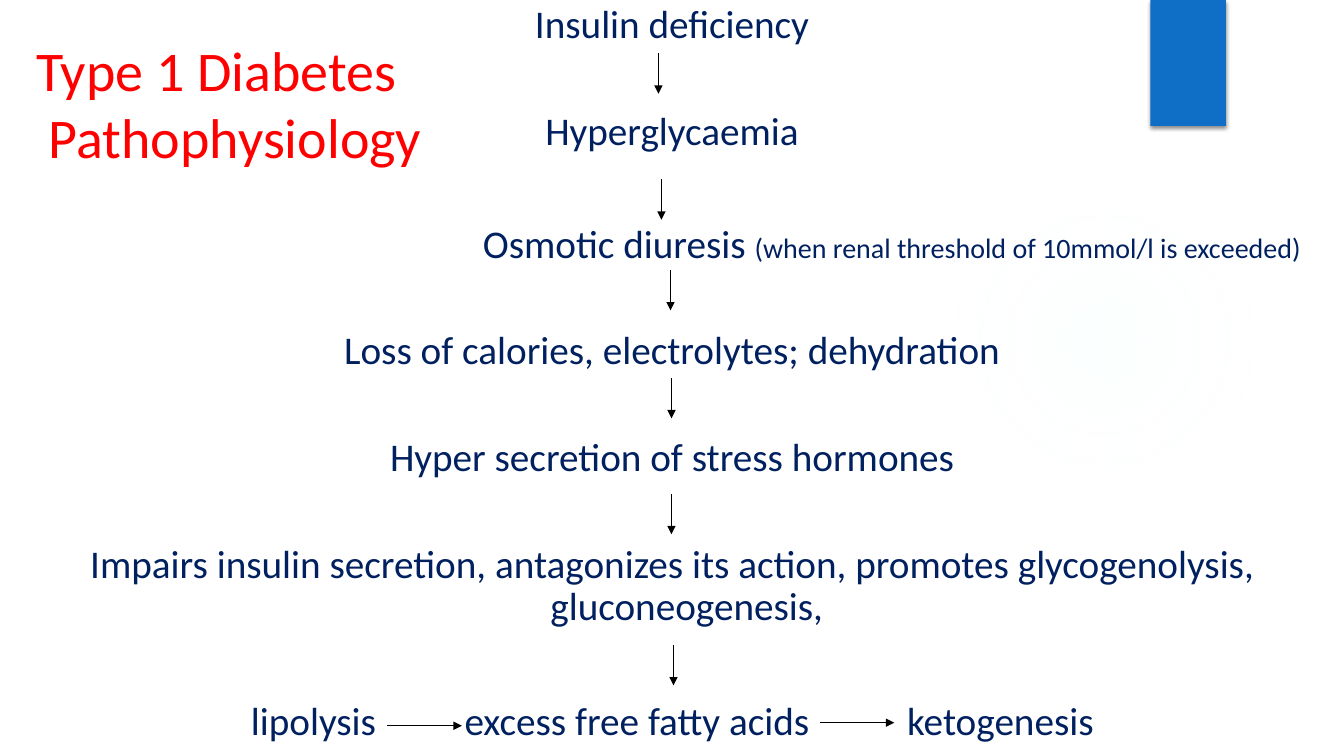
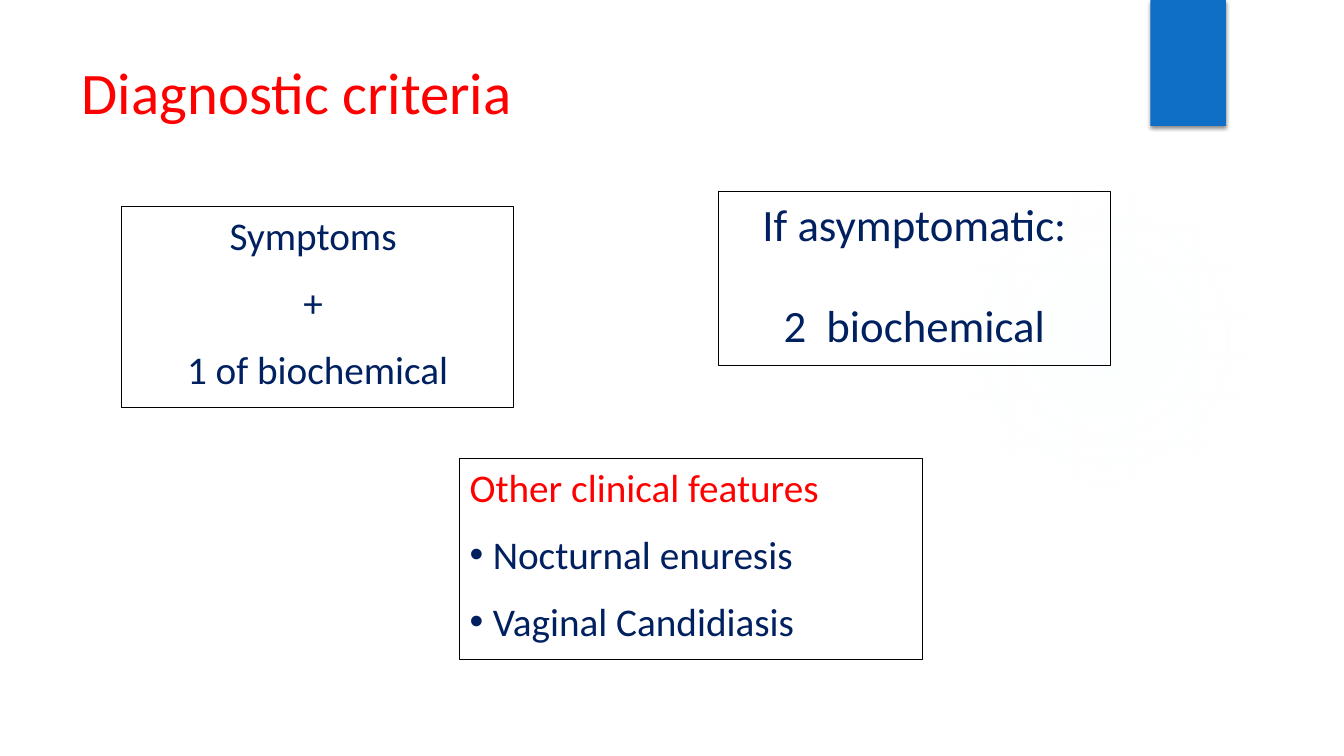
from lxml import etree
from pptx import Presentation
from pptx.dml.color import RGBColor
from pptx.enum import shapes, text
from pptx.oxml import ns, parse_xml
from pptx.util import Inches, Pt

RED = RGBColor(0xFF, 0x00, 0x00)
NAVY = RGBColor(0x00, 0x20, 0x60)
BLACK = RGBColor(0x00, 0x00, 0x00)
RIBBON_BLUE = RGBColor(0x0F, 0x6F, 0xC6)
GLOW = RGBColor(0xE9, 0xF9, 0xFB)
FONT = "Calibri"
INSET = 0.1
HANGING = 0.38
ARROW_LENGTH = 0.4
A = 'xmlns:a="http://schemas.openxmlformats.org/drawingml/2006/main"'


def place(part, box):
    part.left, part.top, part.width, part.height = map(Inches, box)


def add_run(paragraph, words, size, color):
    run = paragraph.add_run()
    run.text = words
    run.font.size = Pt(size)
    run.font.name = FONT
    run.font.color.rgb = color


def set_indent(paragraph, margin, first, bullet=None):
    properties = paragraph._p.get_or_add_pPr()
    properties.set("marL", str(Inches(margin)))
    properties.set("indent", str(Inches(first)))
    if bullet:
        etree.SubElement(properties, ns.qn("a:buFont")).set("typeface", "Arial")
        etree.SubElement(properties, ns.qn("a:buChar")).set("char", bullet)
    else:
        etree.SubElement(properties, ns.qn("a:buNone"))


def prepare_frame(frame):
    frame.word_wrap = True
    frame.auto_size = text.MSO_AUTO_SIZE.NONE
    frame.vertical_anchor = text.MSO_ANCHOR.TOP


def next_paragraph(frame, index):
    return frame.add_paragraph() if index else frame.paragraphs[0]


def decorate_master(master, slide):
    glow = slide.shapes.add_shape(
        shapes.MSO_SHAPE.OVAL, *map(Inches, (9.41, 1.83, 3.08, 3.08)))
    glow.shadow.inherit = False
    glow.line.fill.background()
    stops = "".join(
        f'<a:gs pos="{position}000"><a:srgbClr val="{GLOW}">'
        f'<a:alpha val="{alpha}000"/></a:srgbClr></a:gs>'
        for position, alpha in ((0, 7), (36, 6), (69, 0)))
    glow.element.spPr.find(ns.qn("a:prstGeom")).addnext(parse_xml(
        f'<a:gradFill {A}><a:gsLst>{stops}</a:gsLst><a:path path="circle">'
        '<a:fillToRect l="50000" t="50000" r="50000" b="50000"/>'
        '</a:path></a:gradFill>'))

    ribbon = slide.shapes.add_shape(
        shapes.MSO_SHAPE.RECTANGLE, *map(Inches, (11.41, 0, 0.75, 1.25)))
    ribbon.shadow.inherit = False
    ribbon.fill.solid()
    ribbon.fill.fore_color.rgb = RIBBON_BLUE
    ribbon.line.fill.background()
    ribbon.element.spPr.find(ns.qn("a:effectLst")).append(parse_xml(
        f'<a:outerShdw {A} blurRad="{Pt(3)}" dist="{Pt(2)}" dir="5400000" '
        f'rotWithShape="0"><a:srgbClr val="{BLACK}"><a:alpha val="45000"/>'
        '</a:srgbClr></a:outerShdw>'))

    for offset, decoration in enumerate((glow, ribbon)):
        master.shapes.element.insert(2 + offset, decoration.element)


def set_title(slide, box, lines, size):
    title = slide.shapes.title
    place(title, box)
    prepare_frame(title.text_frame)
    paragraph = title.text_frame.paragraphs[0]
    paragraph.alignment = text.PP_ALIGN.LEFT
    for index, line in enumerate(lines):
        if index:
            paragraph.add_line_break()
        add_run(paragraph, line, size, RED)


def add_arrow(slide, x, y, dx, dy):
    arrow = slide.shapes.add_connector(
        shapes.MSO_CONNECTOR.STRAIGHT, *map(Inches, (x, y, x + dx, y + dy)))
    arrow.line.color.rgb = BLACK
    arrow.line.width = Pt(0.75)
    etree.SubElement(arrow.line._get_or_add_ln(), ns.qn("a:tailEnd")).set(
        "type", "triangle")
    etree.SubElement(arrow.element.spPr, ns.qn("a:effectLst"))


def add_cascade(slide, box, steps):
    body = slide.placeholders[1]
    place(body, box)
    prepare_frame(body.text_frame)
    for index, (gap, start, parts) in enumerate(steps):
        paragraph = next_paragraph(body.text_frame, index)
        if start:
            set_indent(paragraph, start - INSET, 0)
            paragraph.alignment = text.PP_ALIGN.LEFT
        else:
            set_indent(paragraph, HANGING, -HANGING)
            paragraph.alignment = text.PP_ALIGN.CENTER
        paragraph.line_spacing = 0.9
        paragraph.space_before = Pt(gap)
        for words, size in parts:
            add_run(paragraph, words, size, NAVY)


def add_outcomes(slide, top, outcomes):
    for start, width, words in outcomes:
        outcome = slide.shapes.add_textbox(
            *map(Inches, (start - INSET, top, width + 2 * INSET, 0.57)))
        prepare_frame(outcome.text_frame)
        add_run(outcome.text_frame.paragraphs[0], words, 28, NAVY)


def add_criteria_box(slide, box, lines, size, gap, alignment):
    panel = slide.shapes.add_textbox(*map(Inches, box))
    panel.line.color.rgb = BLACK
    panel.line.width = Pt(0.75)
    prepare_frame(panel.text_frame)
    for index, (words, color, bullet) in enumerate(lines):
        paragraph = next_paragraph(panel.text_frame, index)
        if bullet:
            set_indent(paragraph, 0.23, -0.23, bullet)
        paragraph.alignment = alignment
        paragraph.space_before = Pt(gap if index else 0)
        add_run(paragraph, words, size, color)


def build_pathophysiology(slide):
    set_title(slide, (0.26, 0.3, 4.09, 1.25),
              ["Type 1 Diabetes", " Pathophysiology"], 40)
    add_cascade(slide, (0, 0, 13.33, 7.5), [
        (0, None, [("Insulin deficiency", 28)]),
        (46, None, [("Hyperglycaemia", 28)]),
        (50, 4.79, [("Osmotic diuresis ", 28),
                    ("(when renal threshold of 10mmol/l is exceeded)", 20)]),
        (46, None, [("Loss of calories, electrolytes; dehydration", 28)]),
        (46, None, [("Hyper secretion of stress hormones", 28)]),
        (46, None, [("Impairs insulin secretion, antagonizes its action, "
                     "promotes glycogenolysis, gluconeogenesis, ", 28)]),
    ])
    add_outcomes(slide, 6.86, [
        (2.49, 1.35, "lipolysis"),
        (4.61, 3.55, "excess free fatty acids"),
        (9, 2, "ketogenesis"),
    ])
    for x, y in ((6.53, 0.53), (6.56, 1.78), (6.65, 2.68),
                 (6.66, 3.75), (6.66, 4.9), (6.68, 6.4)):
        add_arrow(slide, x, y, 0, ARROW_LENGTH)
    for x, y in ((3.84, 7.2), (8.13, 7.17)):
        add_arrow(slide, x, y, 0.74, 0)


def build_criteria(slide):
    centre, left = text.PP_ALIGN.CENTER, text.PP_ALIGN.LEFT
    set_title(slide, (0.71, 0.5, 10.29, 1.53), ["Diagnostic criteria"], 42)
    add_criteria_box(slide, (1.21, 2.05, 3.88, 1.99), [
        ("Symptoms ", NAVY, None),
        ("+ ", NAVY, None),
        ("1 of biochemical", NAVY, None)], 28, 14, centre)
    add_criteria_box(slide, (7.13, 1.9, 3.88, 1.73), [
        ("If asymptomatic:", NAVY, None),
        ("2  biochemical", NAVY, None)], 32, 34, centre)
    add_criteria_box(slide, (4.56, 4.55, 4.59, 1.99), [
        ("Other clinical features", RED, None),
        ("Nocturnal enuresis", NAVY, "•"),
        ("Vaginal Candidiasis", NAVY, "•")], 28, 14, left)


def main():
    deck = Presentation()
    deck.slide_width, deck.slide_height = Inches(13.33), Inches(7.5)
    pathophysiology = deck.slides.add_slide(deck.slide_layouts[1])
    criteria = deck.slides.add_slide(deck.slide_layouts[5])
    decorate_master(deck.slide_master, pathophysiology)
    build_pathophysiology(pathophysiology)
    build_criteria(criteria)
    deck.save("out.pptx")


if __name__ == "__main__":
    main()
